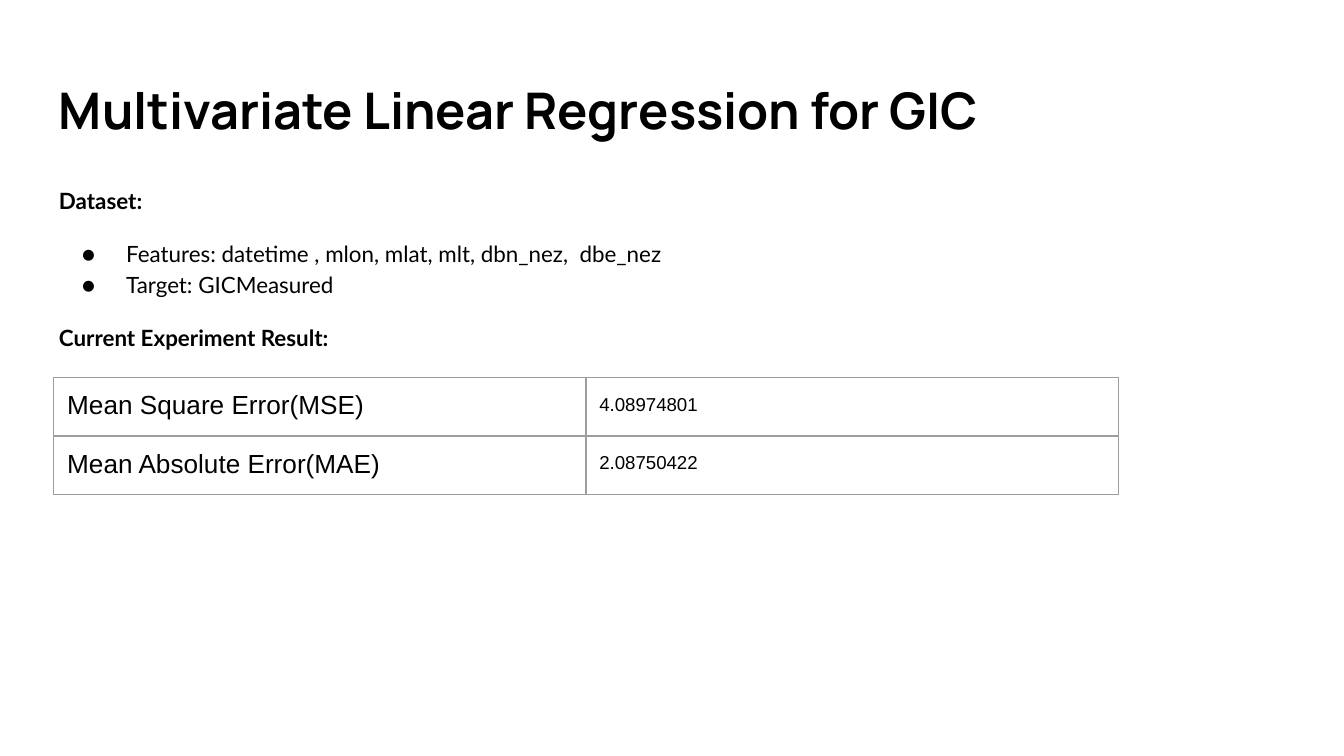
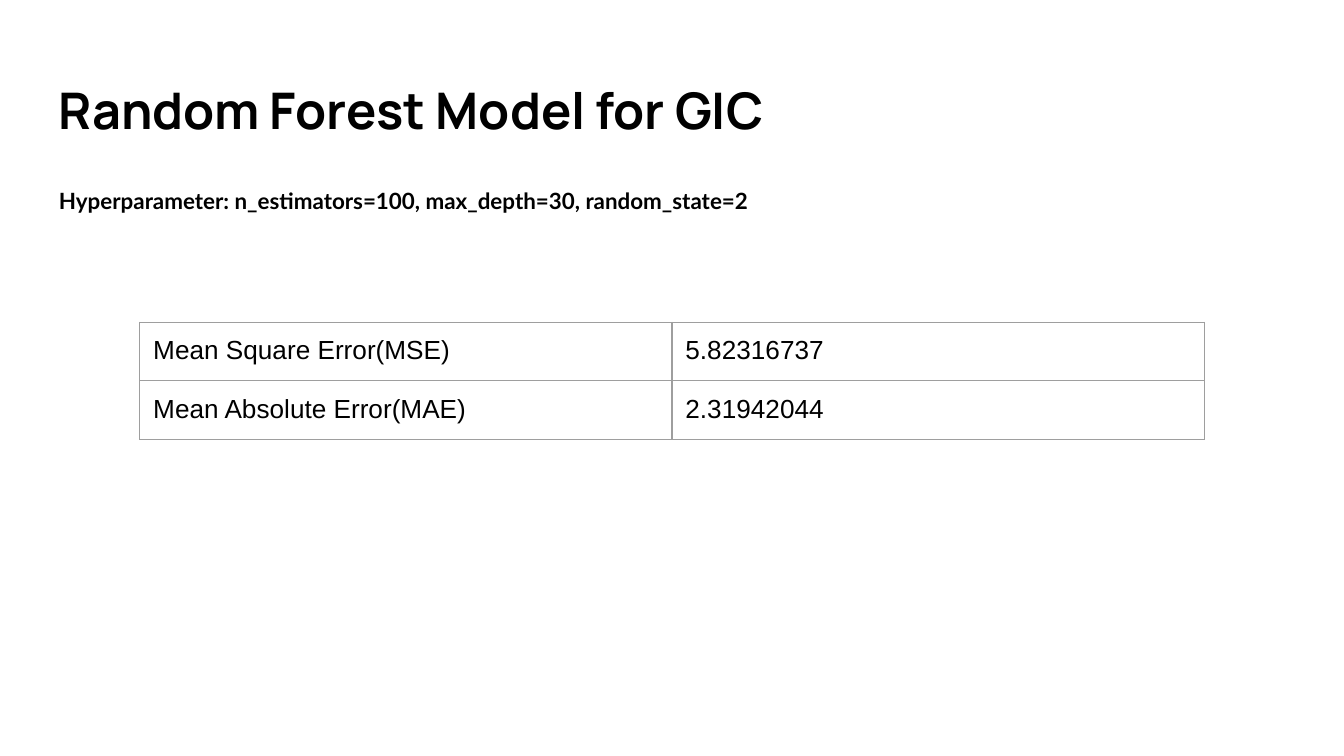
import copy
import dataclasses

import lxml.etree
import pptx
import pptx.dml.color
import pptx.enum.text
import pptx.oxml.ns
import pptx.util

Inches = pptx.util.Inches
Pt = pptx.util.Pt
qn = pptx.oxml.ns.qn

INK = "000000"
RULE = "9E9E9E"
LEFT = 0.34
WIDE = 9.32
PAD = 0.1
COL = 3.96
ROW = 0.42
LABELS = ("Mean Square Error(MSE)", "Mean Absolute Error(MAE)")


@dataclasses.dataclass(frozen=True)
class Line:
    text: str
    size: float = 12
    face: str = "Lato"
    bold: bool = False
    lead: float = 1.15
    gap: float = 0
    dot: bool = False


@dataclasses.dataclass(frozen=True)
class Grid:
    left: float
    top: float
    scores: tuple[str, str]
    size: float = 14
    lead: float = 1


@dataclasses.dataclass(frozen=True)
class Page:
    title: str
    body: tuple[Line, ...]
    tall: float
    grid: Grid


PAGES = (
    Page(
        "Multivariate Linear Regression for GIC",
        (
            Line("Dataset:", bold=True),
            Line("Features: datetime , mlon, mlat, mlt, dbn_nez,  dbe_nez", gap=12, dot=True),
            Line("Target: GICMeasured", dot=True),
            Line("Current Experiment Result:", bold=True, gap=12),
        ),
        4.19,
        Grid(0.4, 2.81, ("4.08974801", "2.08750422"), 10, 1.15),
    ),
    Page(
        "Random Forest Model for GIC",
        (Line("Hyperparameter: n_estimators=100, max_depth=30, random_state=2", bold=True),),
        3.74,
        Grid(1.04, 2.4, ("5.82316737", "2.31942044")),
    ),
)


def paint(code: str) -> pptx.dml.color.RGBColor:
    return pptx.dml.color.RGBColor.from_string(code)


def tint(node, code: str) -> None:
    lxml.etree.SubElement(node, qn("a:srgbClr"), val=code)


def add_dot(para, face: str) -> None:
    props = para._p.get_or_add_pPr()
    props.set("marL", str(Inches(0.5)))
    props.set("indent", str(Inches(-0.33)))
    tint(lxml.etree.SubElement(props, qn("a:buClr")), INK)
    lxml.etree.SubElement(props, qn("a:buFont"), typeface=face)
    lxml.etree.SubElement(props, qn("a:buChar"), char="●")


def close(para) -> None:
    base = para._p.pPr.find(qn("a:defRPr"))
    end = lxml.etree.SubElement(para._p, qn("a:endParaRPr"), dict(base.attrib))
    end.extend(copy.deepcopy(list(base)))


def write(frame, lines: tuple[Line, ...]) -> None:
    for spot, line in enumerate(lines):
        para = frame.add_paragraph() if spot else frame.paragraphs[0]
        para.text = line.text
        if line.dot:
            add_dot(para, line.face)
        if line.lead != 1:
            para.line_spacing = line.lead
        para.space_before = Pt(line.gap)
        font = para.font
        font.name = line.face
        font.size = Pt(line.size)
        font.bold = line.bold
        font.color.rgb = paint(INK)
        close(para)


def add_text(slide, top: float, tall: float, lines: tuple[Line, ...]) -> None:
    box = slide.shapes.add_textbox(Inches(LEFT), Inches(top), Inches(WIDE), Inches(tall))
    frame = box.text_frame
    frame.word_wrap = True
    frame.vertical_anchor = pptx.enum.text.MSO_ANCHOR.TOP
    frame.margin_left = frame.margin_right = Inches(PAD)
    frame.margin_top = frame.margin_bottom = Inches(PAD)
    write(frame, lines)


def add_rules(cell) -> None:
    props = cell._tc.get_or_add_tcPr()
    for side in "LRTB":
        edge = lxml.etree.SubElement(props, qn(f"a:ln{side}"), w=str(Pt(0.75)))
        tint(lxml.etree.SubElement(edge, qn("a:solidFill")), RULE)


def fill_cell(cell, line: Line) -> None:
    add_rules(cell)
    cell.fill.background()
    cell.margin_left = cell.margin_right = Inches(PAD)
    cell.margin_top = cell.margin_bottom = Inches(PAD)
    write(cell.text_frame, (line,))


def add_grid(slide, grid: Grid) -> None:
    count = len(LABELS)
    table = slide.shapes.add_table(
        count, 2, Inches(grid.left), Inches(grid.top), Inches(2 * COL), Inches(count * ROW)
    ).table
    table.first_row = False
    table.horz_banding = False
    for index, (label, score) in enumerate(zip(LABELS, grid.scores)):
        fill_cell(table.cell(index, 0), Line(label, 14, "Arial", lead=1))
        fill_cell(table.cell(index, 1), Line(score, grid.size, "Arial", lead=grid.lead))


def add_page(deck, page: Page) -> None:
    slide = deck.slides.add_slide(deck.slide_layouts[6])
    add_text(slide, 0.49, 0.68, (Line(page.title, 27, "Manrope", True, 1),))
    add_text(slide, 1.26, page.tall, page.body)
    add_grid(slide, page.grid)


def main() -> None:
    deck = pptx.Presentation()
    deck.slide_width = Inches(10)
    deck.slide_height = Inches(10 * 9 / 16)
    for page in PAGES:
        add_page(deck, page)
    deck.save("out.pptx")


if __name__ == "__main__":
    main()
